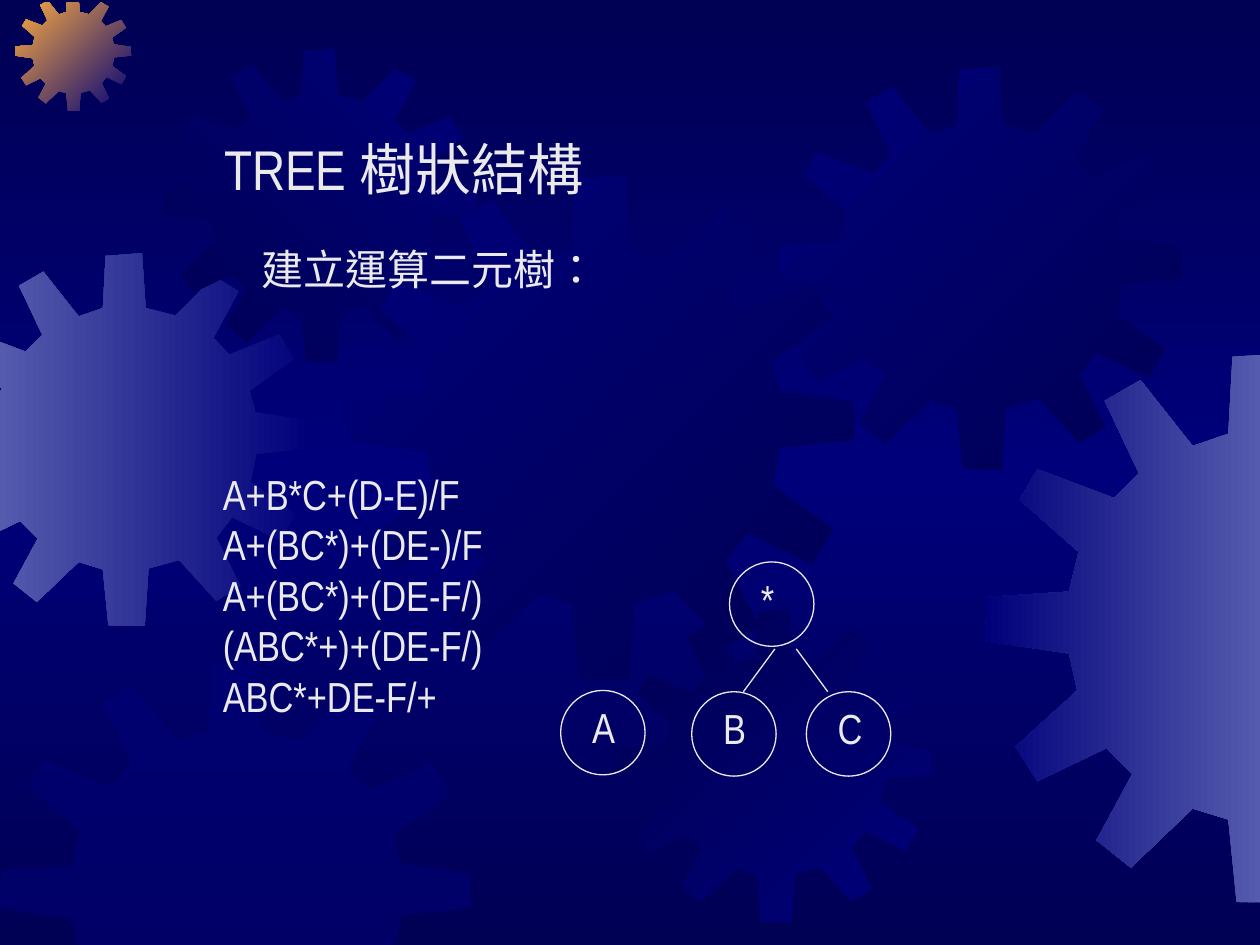
import copy

import pptx
import pptx.dml.color
import pptx.enum.lang
import pptx.enum.shapes
import pptx.enum.text
import pptx.oxml
import pptx.oxml.ns
import pptx.util
from pptx.util import Inches

FONT = "Arial Narrow"
PALE, NAVY, BLUE, LILAC, ORANGE = "EAEAEA", "000054", "00007A", "555BAD", "FCAB40"

# Twelve-toothed gear, drawn at a width of GEAR_SIZE
GEAR_SIZE = 4.01
GEAR = [
    (2.55, 0.67), (2.23, 0.59), (2.19, 0), (1.8, 0.03),
    (1.77, 0.59), (1.51, 0.68), (1.13, 0.2), (0.87, 0.35),
    (1.12, 0.88), (0.94, 1.06), (0.38, 0.85), (0.25, 1.07),
    (0.68, 1.45), (0.61, 1.74), (0.01, 1.78), (0, 2.1),
    (0.61, 2.19), (0.67, 2.46), (0.22, 2.87), (0.38, 3.12),
    (0.88, 2.88), (1.07, 3.07), (0.81, 3.55), (1.06, 3.75),
    (1.51, 3.32), (1.77, 3.4), (1.83, 4), (2.22, 4.01),
    (2.26, 3.39), (2.59, 3.3), (2.99, 3.74), (3.25, 3.58),
    (2.99, 3.06), (3.16, 2.84), (3.68, 3.09), (3.84, 2.81),
    (3.36, 2.46), (3.42, 2.16), (4.01, 2.1), (4, 1.8),
    (3.41, 1.71), (3.35, 1.48), (3.83, 1.14), (3.67, 0.87),
    (3.13, 1.09), (2.96, 0.91), (3.23, 0.41), (2.97, 0.25),
]
# Axis, limit and the side that is kept
EDGES = [(0, -0.01, 1), (0, 10.01, -1), (1, 0.02, 1), (1, 7.54, -1)]

# Left, top, size, start colour, end colour, clockwise angle
GEARS = [
    (-0.49, 2.01, 2.96, BLUE, LILAC, 180),
    (0.12, -0.04, 0.92, BLUE, ORANGE, 225),
    (1.3, 0.39, 2.48, BLUE, NAVY, 135),
    (2.77, 1.39, 4.01, NAVY, BLUE, 225),
    (0, 5.25, 3.74, BLUE, None, 0),
    (4.91, 4.84, 2.48, BLUE, NAVY, 225),
    (6.18, 0.53, 3.2, NAVY, BLUE, 225),
    (7.82, 2.8, 4.37, LILAC, BLUE, 180),
]
# Label, circle left and top, label width
NODES = [("C", 6.4, 5.49, 0.39), ("B", 5.49, 5.49, 0.38),
         ("*", 5.79, 4.46, 0.3), ("A", 4.45, 5.48, 0.38)]
STEPS = ["A+B*C+(D-E)/F", "A+(BC*)+(DE-)/F", "A+(BC*)+(DE-F/)",
         "(ABC*+)+(DE-F/)", "ABC*+DE-F/+"]


def color(value):
    return pptx.dml.color.RGBColor.from_string(value)


def set_gradient(fill, start, end, angle):
    fill.gradient()
    fill.gradient_angle = (360 - angle) % 360
    for stop, value, position in zip(fill.gradient_stops, (start, end), (0, 1)):
        stop.color.rgb = color(value)
        stop.position = position


def set_background(page):
    """Dark at the top and bottom, brighter halfway."""
    set_gradient(page.background.fill, NAVY, BLUE, 90)
    stops = page._element.find(".//" + pptx.oxml.ns.qn("a:gsLst"))
    last = copy.deepcopy(stops[0])
    stops[1].set("pos", "50000")
    last.set("pos", "100000")
    stops.append(last)


def clip(points, axis, limit, side):
    """Cut a polygon along one edge of the page."""
    kept = []
    for before, after in zip(points[-1:] + points[:-1], points):
        start, end = ((point[axis] - limit) * side for point in (before, after))
        if (start >= 0) != (end >= 0):
            share = start / (start - end)
            kept.append(tuple(a + share * (b - a) for a, b in zip(before, after)))
        if end >= 0:
            kept.append(after)
    return kept


def add_gear(page, left, top, size, start, end, angle):
    scale = size / GEAR_SIZE
    points = [(left + x * scale, top + y * scale) for x, y in GEAR]
    for edge in EDGES:
        points = clip(points, *edge)
    points = [(Inches(x), Inches(y)) for x, y in points]
    builder = page.shapes.build_freeform(*points[0])
    builder.add_line_segments(points[1:])
    gear = builder.convert_to_shape()
    gear.shadow.inherit = False
    gear.line.fill.background()
    if end:
        set_gradient(gear.fill, start, end, angle)
    else:
        gear.fill.solid()
        gear.fill.fore_color.rgb = color(start)
        tint = gear._element.find(".//" + pptx.oxml.ns.qn("a:srgbClr"))
        alpha = pptx.oxml.parse_xml(
            '<a:alpha %s val="50000"/>' % pptx.oxml.ns.nsdecls("a"))
        tint.append(alpha)


def add_text(shapes, text, left, top, width, height, size=24):
    box = shapes.add_textbox(*map(Inches, (left, top, width, height)))
    frame = box.text_frame
    frame.word_wrap = False
    frame.auto_size = pptx.enum.text.MSO_AUTO_SIZE.SHAPE_TO_FIT_TEXT
    frame.text = text
    for para in frame.paragraphs:
        for span in para.runs:
            span.font.name = FONT
            span.font.size = pptx.util.Pt(size)
            span.font.color.rgb = color(PALE)
            span.font.language_id = pptx.enum.lang.MSO_LANGUAGE_ID.TRADITIONAL_CHINESE


def set_line(line):
    line.color.rgb = color(PALE)
    line.width = pptx.util.Pt(0.75)


def add_node(page, label, left, top, label_width):
    group = page.shapes.add_group_shape()
    circle = group.shapes.add_shape(
        pptx.enum.shapes.MSO_SHAPE.OVAL,
        *map(Inches, (left, top, 0.67, 0.67)))
    circle.shadow.inherit = False
    circle.fill.background()
    set_line(circle.line)
    add_text(group.shapes, label, left + 0.15, top + 0.04, label_width, 0.5)


def add_branch(page, start_x, end_x):
    branch = page.shapes.add_connector(
        pptx.enum.shapes.MSO_CONNECTOR.STRAIGHT,
        *map(Inches, (start_x, 5.15, end_x, 5.49)))
    set_line(branch.line)
    branch._element.spPr.append(pptx.oxml.parse_xml(
        "<a:effectLst %s/>" % pptx.oxml.ns.nsdecls("a")))


def main():
    deck = pptx.Presentation()
    deck.slide_width, deck.slide_height = Inches(10), Inches(7.5)
    page = deck.slides.add_slide(deck.slide_layouts[6])
    set_background(page)
    for gear in GEARS:
        add_gear(page, *gear)
    add_text(page.shapes, "TREE 樹狀結構", 1.68, 1.02, 3.18, 0.64, size=32)
    add_text(page.shapes, "\n".join(STEPS), 1.67, 3.67, 2.3, 2.1)
    add_text(page.shapes, "建立運算二元樹：", 1.98, 1.88, 2.88, 0.5)
    for node in NODES:
        add_node(page, *node)
    add_branch(page, 6.15, 5.9)
    add_branch(page, 6.32, 6.57)
    deck.save("out.pptx")


if __name__ == "__main__":
    main()
